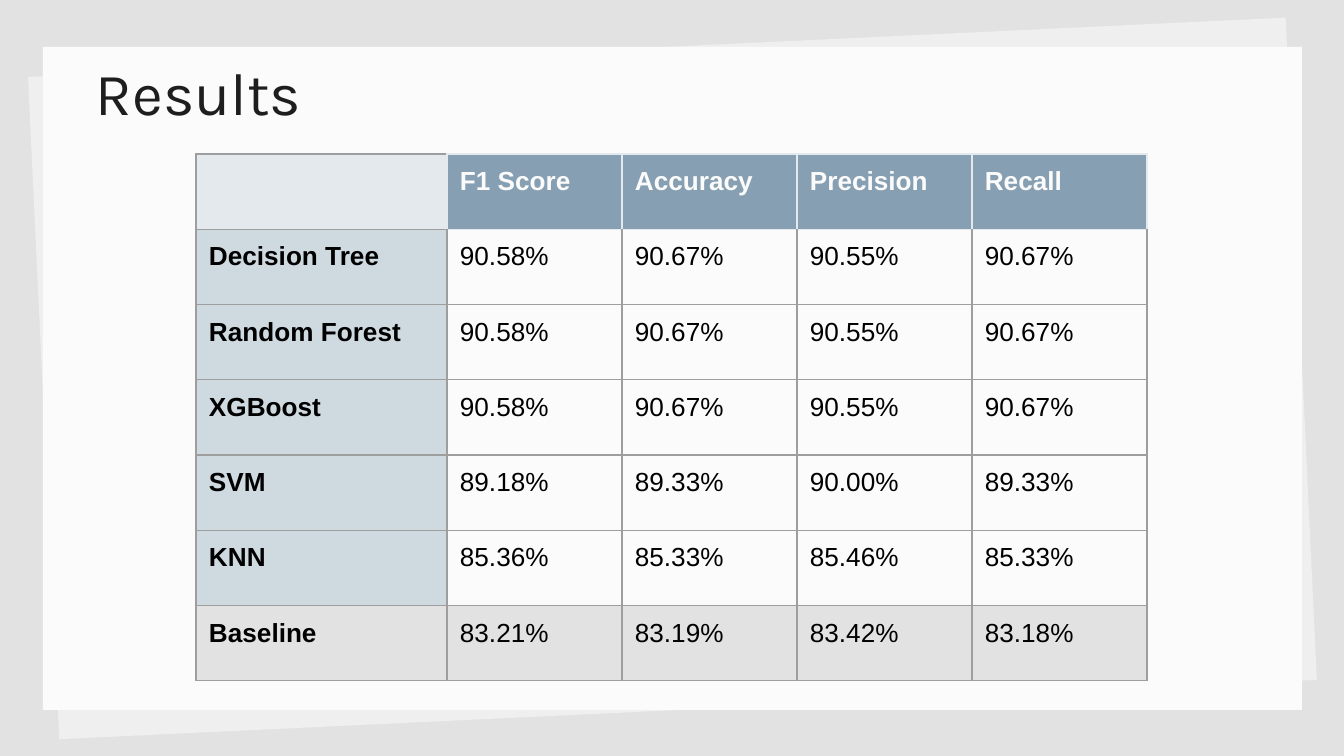
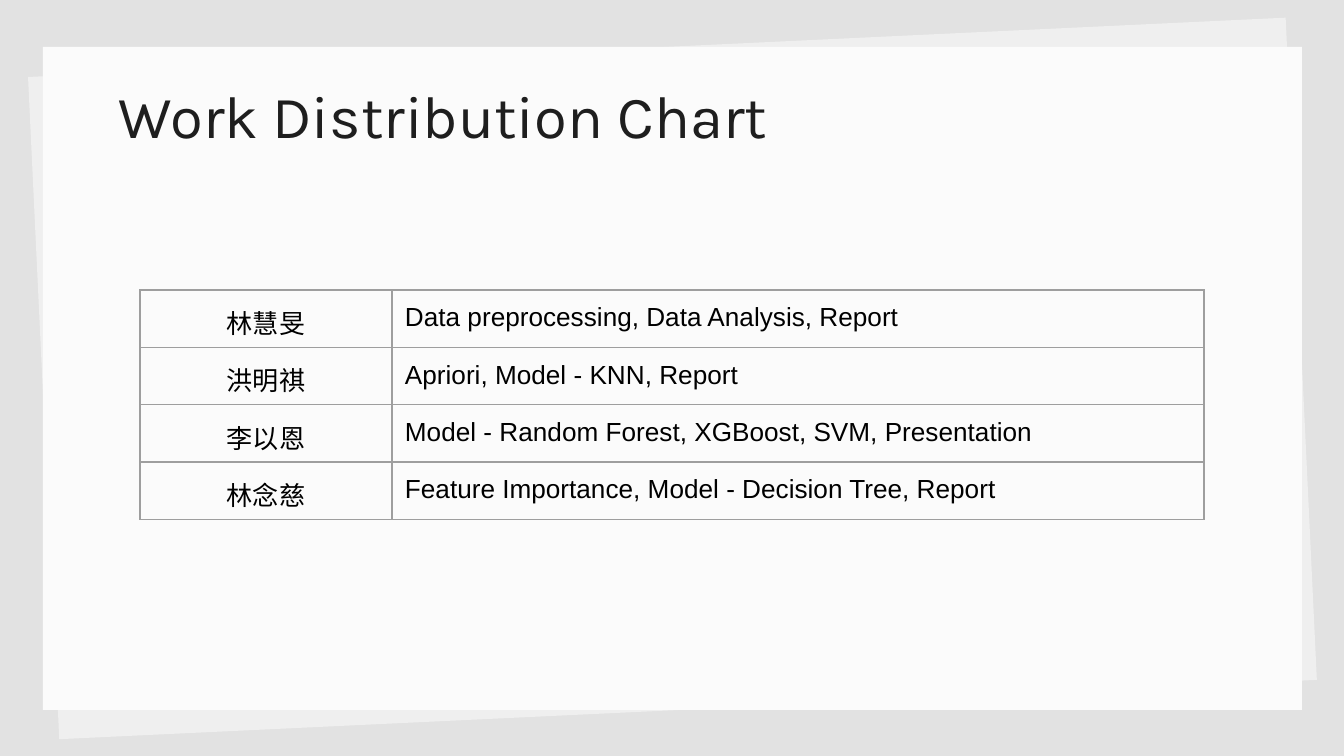
import pptx
import pptx.util
import pptx.dml.color
import pptx.enum.shapes
import pptx.enum.text
import pptx.oxml.ns
import lxml.etree

RGBColor = pptx.dml.color.RGBColor
BACKGROUND = RGBColor(0xE2, 0xE2, 0xE2)
BACK_SHEET = RGBColor(0xEF, 0xEF, 0xEF)
PAPER = RGBColor(0xFB, 0xFB, 0xFB)
TITLE_INK = RGBColor(0x1E, 0x1E, 0x1E)
BLACK = RGBColor(0, 0, 0)
GRID = RGBColor(0x9E, 0x9E, 0x9E)
PALE_BLUE = RGBColor(0xE3, 0xE9, 0xED)
HEADER_BLUE = RGBColor(0x86, 0x9F, 0xB2)
LABEL_BLUE = RGBColor(0xCF, 0xD9, 0xE0)

TITLE_FONT = "Karla"
BODY_FONT = "Arial"
EMU_PER_PX = 914400 / 134.4
INSET = 13

RESULTS = [
    ["", "F1 Score", "Accuracy", "Precision", "Recall"],
    ["Decision Tree", "90.58%", "90.67%", "90.55%", "90.67%"],
    ["Random Forest", "90.58%", "90.67%", "90.55%", "90.67%"],
    ["XGBoost", "90.58%", "90.67%", "90.55%", "90.67%"],
    ["SVM", "89.18%", "89.33%", "90.00%", "89.33%"],
    ["KNN", "85.36%", "85.33%", "85.46%", "85.33%"],
    ["Baseline", "83.21%", "83.19%", "83.42%", "83.18%"],
]
WORK = [
    ["林慧旻", "Data preprocessing, Data Analysis, Report"],
    ["洪明祺", "Apriori, Model - KNN, Report"],
    ["李以恩", "Model - Random Forest, XGBoost, SVM, Presentation"],
    ["林念慈", "Feature Importance, Model - Decision Tree, Report"],
]


def px(length):
    return pptx.util.Emu(round(length * EMU_PER_PX))


def set_font(paragraph, name, size, color, bold=False):
    paragraph.font.name = name
    paragraph.font.size = pptx.util.Pt(size)
    paragraph.font.color.rgb = color
    paragraph.font.bold = bold


def set_insets(target):
    target.margin_left = target.margin_right = px(INSET)
    target.margin_top = target.margin_bottom = px(INSET)


def add_sheet(slide, color, rotation=0):
    shape = slide.shapes.add_shape(
        pptx.enum.shapes.MSO_SHAPE.RECTANGLE, px(43), px(47), px(1259), px(663))
    shape.rotation = rotation
    shape.shadow.inherit = False
    shape.fill.solid()
    shape.fill.fore_color.rgb = color
    shape.line.fill.background()


def add_title(slide, text, left, top):
    shape = slide.shapes.add_textbox(px(left), px(top), px(1133), px(85))
    frame = shape.text_frame
    frame.word_wrap = True
    frame.vertical_anchor = pptx.enum.text.MSO_ANCHOR.TOP
    set_insets(frame)
    frame.text = text
    set_font(frame.paragraphs[0], TITLE_FONT, 32, TITLE_INK)


def add_paper_slide(presentation, title, title_left, title_top):
    slide = presentation.slides.add_slide(presentation.slide_layouts[6])
    slide.background.fill.solid()
    slide.background.fill.fore_color.rgb = BACKGROUND
    add_sheet(slide, BACK_SHEET, 357.3)
    add_sheet(slide, PAPER)
    add_title(slide, title, title_left, title_top)
    return slide


def set_borders(cell, left=GRID, right=GRID, top=GRID, bottom=GRID):
    properties = cell._tc.get_or_add_tcPr()
    qn = pptx.oxml.ns.qn
    for side, color in zip("LRTB", (left, right, top, bottom)):
        line = lxml.etree.SubElement(
            properties, qn(f"a:ln{side}"), w=str(pptx.util.Pt(0.75)))
        fill = lxml.etree.SubElement(line, qn("a:solidFill"))
        lxml.etree.SubElement(fill, qn("a:srgbClr"), val=str(color))


def results_style(row, column):
    style = {"bold": row == 0 or column == 0}
    if row == 0 and column == 0:
        style.update(fill=PALE_BLUE, borders={"right": PALE_BLUE})
    elif row == 0:
        sides = ("left", "right", "top", "bottom")
        style.update(fill=HEADER_BLUE, color=PAPER,
                     borders=dict.fromkeys(sides, PALE_BLUE))
    elif row == len(RESULTS) - 1:
        style.update(fill=BACKGROUND)
    elif column == 0:
        style.update(fill=LABEL_BLUE)
    elif row == 1:
        style.update(borders={"top": PALE_BLUE})
    return style


def work_style(row, column):
    return {"centered": column == 0}


def fill_cell(cell, text, fill=None, color=BLACK, bold=False,
              centered=False, borders=None):
    set_borders(cell, **(borders or {}))
    if fill is None:
        cell.fill.background()
    else:
        cell.fill.solid()
        cell.fill.fore_color.rgb = fill
    set_insets(cell)
    cell.text = text
    paragraph = cell.text_frame.paragraphs[0]
    if centered:
        paragraph.alignment = pptx.enum.text.PP_ALIGN.CENTER
    set_font(paragraph, BODY_FONT, 14, color, bold)


def add_grid(slide, rows, left, top, widths, height, cell_style):
    table = slide.shapes.add_table(
        len(rows), len(widths), px(left), px(top), px(sum(widths)), px(height)).table
    table.first_row = table.horz_banding = False
    for column, width in zip(table.columns, widths):
        column.width = px(width)
    for row_index, texts in enumerate(rows):
        table.rows[row_index].height = px(height / len(rows))
        for column_index, text in enumerate(texts):
            fill_cell(table.cell(row_index, column_index), text,
                      **cell_style(row_index, column_index))


def main():
    presentation = pptx.Presentation()
    presentation.slide_width = px(1344)
    presentation.slide_height = px(756)

    results = add_paper_slide(presentation, "Results", 83, 43)
    add_grid(results, RESULTS, 196, 154, [251] + [175] * 4, 527, results_style)

    work = add_paper_slide(presentation, "Work Distribution Chart", 106, 66)
    add_grid(work, WORK, 140, 290, [252, 812], 226, work_style)

    presentation.save("out.pptx")


if __name__ == "__main__":
    main()
